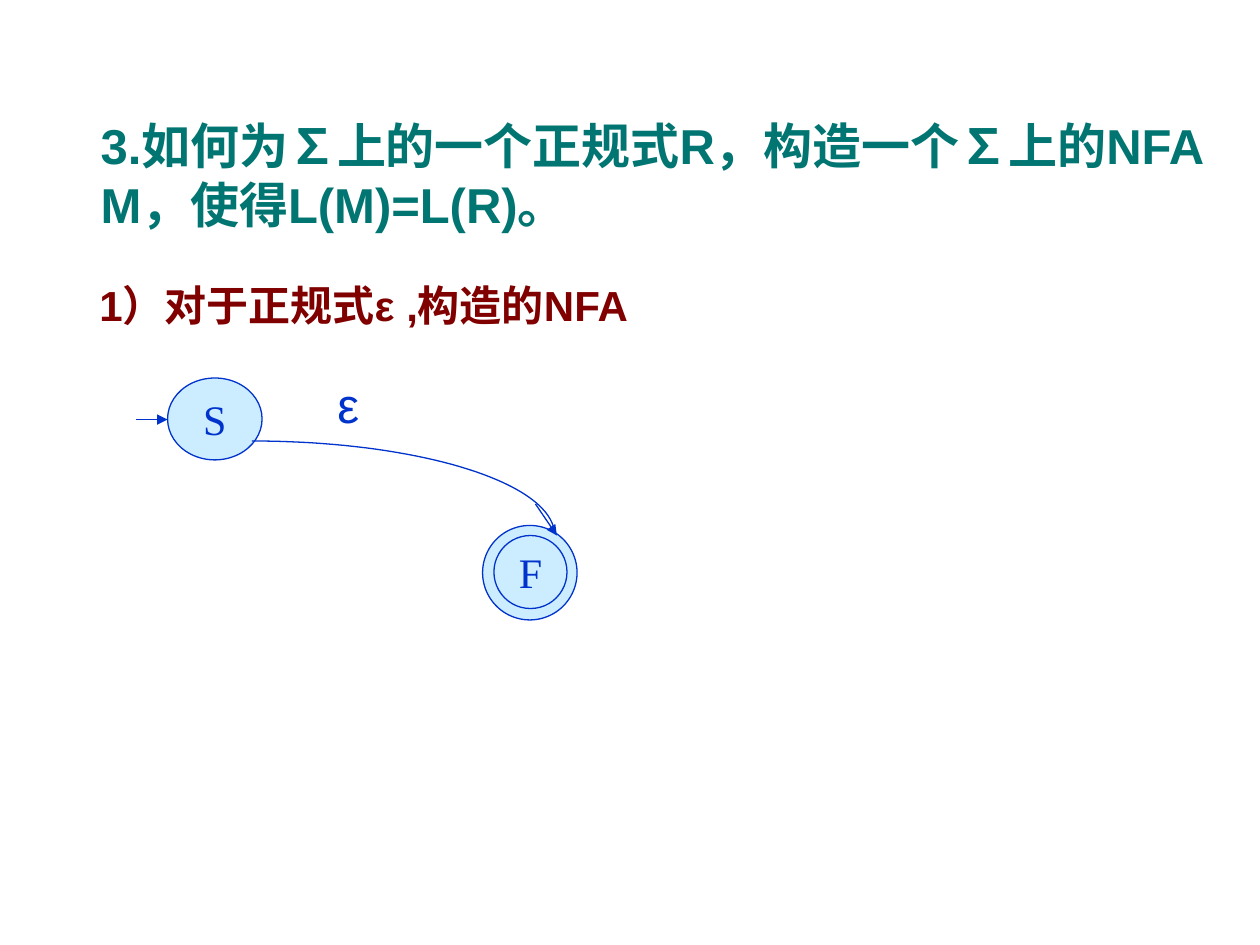
import pptx
import pptx.util
import pptx.dml.color
import pptx.enum.shapes
import pptx.enum.text
import pptx.oxml
import pptx.oxml.ns

Inches, Pt = pptx.util.Inches, pptx.util.Pt
RGB = pptx.dml.color.RGBColor.from_string
ALIGN = pptx.enum.text.PP_ALIGN
ANCHOR = pptx.enum.text.MSO_ANCHOR

THEME = {
    "title": RGB("007572"), "heading": RGB("800000"),
    "line": RGB("0033CC"), "state": RGB("CCECFF"),
    "large": Pt(28), "normal": Pt(24), "stroke": Pt(0.75),
    "sans": "Arial", "serif": "Times New Roman",
}


def write(sp, text, size="normal", color="line", font="sans", bold=False,
          align=ALIGN.LEFT, anchor=ANCHOR.TOP, wrap=True):
    tf = sp.text_frame
    tf.word_wrap = wrap
    tf.vertical_anchor = anchor
    p = tf.paragraphs[0]
    p.alignment = align
    r = p.add_run()
    r.text = text
    r.font.name = THEME[font]
    r.font.size = THEME[size]
    r.font.bold = bold
    r.font.color.rgb = THEME[color]


def outline(sp):
    sp.line.color.rgb = THEME["line"]
    sp.line.width = THEME["stroke"]


prs = pptx.Presentation()
prs.slide_width, prs.slide_height = Inches(10), Inches(7.5)
s = prs.slides.add_slide(prs.slide_layouts[6])

# Title
sp = s.shapes.add_textbox(Inches(0.7), Inches(0.76), Inches(9.34), Inches(1.25))
write(sp, "3.如何为∑上的一个正规式R，构造一个∑上的NFA M，使得L(M)=L(R)。",
      size="large", color="title", bold=True, anchor=ANCHOR.MIDDLE)

# States: the final state F has a double ring
for x, y, w, h, name in [
    (3.83, 4.17, 0.75, 0.75, ""),
    (3.92, 4.25, 0.58, 0.58, "F"),
    (1.33, 3, 0.75, 0.65, "S"),
]:
    sp = s.shapes.add_shape(pptx.enum.shapes.MSO_SHAPE.OVAL,
                            Inches(x), Inches(y), Inches(w), Inches(h))
    sp.shadow.inherit = False
    sp.fill.solid()
    sp.fill.fore_color.rgb = THEME["state"]
    outline(sp)
    if name:
        write(sp, name, font="serif", align=ALIGN.CENTER,
              anchor=ANCHOR.MIDDLE, wrap=False)

# Curved transition from S to F, sampled along a cubic curve
controls = [(2, 3.5), (3.28, 3.5), (4.33, 3.81), (4.4, 4.21)]
steps = 40
points = []
for i in range(steps + 1):
    t = i / steps
    weights = [(1 - t) ** 3, 3 * t * (1 - t) ** 2, 3 * t ** 2 * (1 - t), t ** 3]
    points.append(tuple(Inches(sum(k * c[axis] for k, c in zip(weights, controls)))
                        for axis in (0, 1)))
fb = s.shapes.build_freeform(*points[0])
fb.add_line_segments(points[1:], close=False)
sp = fb.convert_to_shape()
sp.shadow.inherit = False
sp.fill.background()
outline(sp)

# Arrows: into the start state and at the end of the curve
for x1, y1, x2, y2 in [(1.08, 3.33, 1.33, 3.33), (4.25, 4, 4.42, 4.25)]:
    sp = s.shapes.add_connector(pptx.enum.shapes.MSO_CONNECTOR.STRAIGHT,
                                Inches(x1), Inches(y1), Inches(x2), Inches(y2))
    outline(sp)
    ln = sp.line._get_or_add_ln()
    ln.append(pptx.oxml.parse_xml(
        "<a:tailEnd %s type='triangle'/>" % pptx.oxml.ns.nsdecls("a")))
    ln.addnext(pptx.oxml.parse_xml("<a:effectLst %s/>" % pptx.oxml.ns.nsdecls("a")))

# Transition label
sp = s.shapes.add_textbox(Inches(2.58), Inches(2.92), Inches(0.75), Inches(0.57))
write(sp, "ε", size="large")

# Case heading
sp = s.shapes.add_textbox(Inches(0.69), Inches(2.17), Inches(4.5), Inches(0.5))
write(sp, "1）对于正规式ε ,构造的NFA", color="heading", bold=True)

prs.save("out.pptx")
